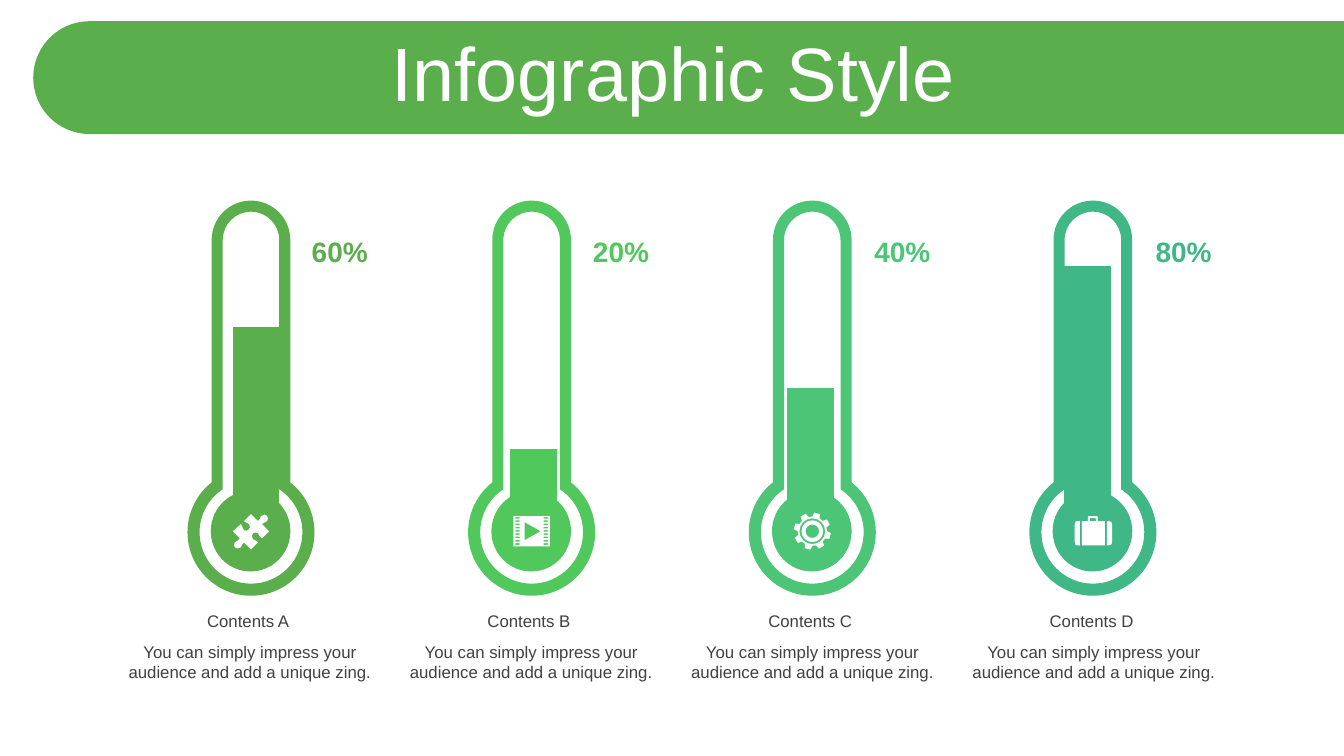
from dataclasses import dataclass
from math import acos, cos, pi, radians, sin, tan

from lxml import etree
from pptx import Presentation
from pptx.chart.data import CategoryChartData
from pptx.dml.color import RGBColor
from pptx.enum.chart import XL_CHART_TYPE
from pptx.enum.shapes import MSO_SHAPE
from pptx.enum.text import MSO_ANCHOR, PP_ALIGN
from pptx.oxml.ns import qn
from pptx.util import Inches, Pt


@dataclass(frozen=True)
class Theme:
    font: str = "Arial"
    white: str = "FFFFFF"
    text: str = "404040"
    accents: tuple = ("5AAE4C", "50C85B", "4CC576", "40B786")
    title_size: int = 54
    percent_size: int = 20
    body_size: int = 12
    chart_size: int = 10


THEME = Theme()
PERCENTS = ("60%", "20%", "40%", "80%")
HEADINGS = ("Contents A ", "Contents B ", "Contents C ", "Contents D ")
CAPTION = "You can simply impress your audience and add a unique zing."
LEVELS = (75, 25, 50, 100)
FIRST_CENTER, LAST_CENTER = 2.49, 10.84
FIRST_LABEL, LABEL_STEP = 1.13, 2.79
CAP_Y, BULB_Y = 2.38, 5.28

# Icon outlines in hundredths of an inch about the icon's middle:
# a pair is a straight step, six numbers are a Bezier curve.
PUZZLE = [[
    (16, -15), (17, -14, 17, -12, 16, -10), (14, -8, 12, -9, 11, -7),
    (18, 0), (11, 7), (8, 6, 9, 4, 7, 2), (5, 1, 3, 1, 2, 2),
    (1, 3, 0, 6, 2, 8), (4, 10, 5, 8, 7, 11), (0, 18), (-7, 11),
    (-10, 13, -8, 14, -10, 16), (-12, 18, -15, 17, -16, 16),
    (-17, 15, -17, 13, -16, 11), (-14, 9, -12, 10, -11, 7), (-18, 0),
    (-10, -7), (-8, -5, -9, -3, -7, -1), (-5, 0, -3, 0, -2, -2),
    (-1, -3, 0, -5, -2, -7), (-4, -9, -5, -8, -7, -10), (0, -17),
    (7, -10), (10, -12, 8, -13, 10, -15), (12, -17, 15, -17, 16, -15),
]]
BRIEFCASE = [
    [(14, -10), (16, -10), (18, -10, 19, -9, 19, -7), (19, 11),
     (19, 13, 18, 14, 16, 14), (14, 14)],
    [(-13, -10), (-13, 14), (-16, 14), (-17, 14, -18, 13, -18, 11),
     (-18, -7), (-18, -9, -17, -10, -16, -10)],
    [(-4, -15), (4, -15), (5, -15, 5, -15, 5, -14), (5, -10), (12, -10),
     (12, 14), (-11, 14), (-11, -10), (-5, -10), (-5, -14),
     (-5, -15, -4, -15, -4, -15)],
    [(-3, -13), (3, -13), (3, -10), (-3, -10)],
]


# Geometry
def rectangle(left, top, right, bottom):
    return [(left, top), (right, top), (right, bottom), (left, bottom)]


def arc(x, y, radius, angles):
    """Start point, then one Bezier curve between each two angles."""
    def spot(angle, pull=0):
        return (x + radius * (cos(angle) - pull * sin(angle)),
                y + radius * (sin(angle) + pull * cos(angle)))

    segments = [spot(angles[0])]
    for start, end in zip(angles, angles[1:]):
        pull = 4 / 3 * tan((end - start) / 4)
        segments.append(spot(start, pull) + spot(end, -pull) + spot(end))
    return segments


def film_icon():
    frame = rectangle(-18, -15, 18, 15)
    play = [(-7, -9), (-7, 9), (9, 0)]
    tops = [-14 + 3.25 * row for row in range(9)]
    holes = [rectangle(left, top, left + 4, top + 1.5)
             for top in tops for left in (-16, 12)]
    return [frame, play] + holes


def gear_icon(teeth=8):
    rim = []
    for tooth in range(teeth):
        middle = -75 + 360 / teeth * tooth
        for offset, radius in ((-15, 14.5), (-9, 18.5), (9, 18.5), (15, 14.5)):
            angle = radians(middle + offset)
            rim.append((radius * cos(angle), radius * sin(angle)))
    quarters = [pi / 2 * i for i in range(5)]
    return [rim] + [arc(0, 0, radius, quarters) for radius in (12.8, 10.8, 6.7)]


def thermometer_outline(x, tube_radius, bulb_radius):
    neck = acos(tube_radius / bulb_radius)
    return (arc(x, CAP_Y, tube_radius, (pi, 1.5 * pi, 2 * pi))
            + arc(x, BULB_Y, bulb_radius, (-neck, 0, pi / 2, pi, pi + neck)))


# Drawing
def paint(shape, color):
    shape.fill.solid()
    shape.fill.fore_color.rgb = RGBColor.from_string(color)
    shape.line.fill.background()
    shape.shadow.inherit = False


def add_outline(slide, contours, color):
    contours = [[[Inches(value) for value in segment] for segment in contour]
                for contour in contours]
    builder = slide.shapes.build_freeform(*contours[0][0])
    for index, contour in enumerate(contours):
        if index:
            builder.move_to(*contour[0])
        builder.add_line_segments([segment[-2:] for segment in contour[1:]], close=True)
    shape = builder.convert_to_shape()
    paint(shape, color)
    # Turn the straight steps that stand for curves into Bezier curves
    outline = shape.element.find(".//" + qn("a:path"))
    steps = [step for step in outline if step.tag != qn("a:close")]
    segments = [segment for contour in contours for segment in contour]
    for step, segment in zip(steps, segments):
        if len(segment) == 6:
            curve = etree.Element(qn("a:cubicBezTo"))
            for x, y in zip(segment[::2], segment[1::2]):
                point = etree.SubElement(curve, qn("a:pt"))
                point.set("x", str(x - shape.left))
                point.set("y", str(y - shape.top))
            outline.replace(step, curve)


def add_icon(slide, x, y, icon):
    contours = [[[(x, y)[i % 2] + value / 100 for i, value in enumerate(segment)]
                 for segment in contour] for contour in icon]
    add_outline(slide, contours, THEME.white)


def add_text(slide, text, left, top, width, height, size, color, bold=False):
    box = slide.shapes.add_textbox(Inches(left), Inches(top), Inches(width), Inches(height))
    box.text_frame.word_wrap = True
    para = box.text_frame.paragraphs[0]
    para.text = text
    para.alignment = PP_ALIGN.CENTER
    font = para.runs[0].font
    font.name, font.size, font.bold = THEME.font, Pt(size), bold
    font.color.rgb = RGBColor.from_string(color)
    return box


def add_banner(slide):
    banner = slide.shapes.add_shape(MSO_SHAPE.ROUND_2_SAME_RECTANGLE, Inches(6.27),
                                    Inches(-5.73), Inches(1.12), Inches(13))
    banner.rotation = 270
    banner.adjustments[0], banner.adjustments[1] = 0.5, 0
    paint(banner, THEME.accents[0])
    title = add_text(slide, "Infographic Style", 0.35, 0.37, 12.66, 0.79,
                     THEME.title_size, THEME.white)
    title.text_frame.vertical_anchor = MSO_ANCHOR.MIDDLE
    title.text_frame.paragraphs[0].line_spacing = 0.9


def add_level_chart(slide):
    data = CategoryChartData()
    data.categories = ["1", "2", "3", "4"]
    data.add_series("Series 1", LEVELS)
    chart = slide.shapes.add_chart(XL_CHART_TYPE.COLUMN_CLUSTERED, Inches(0.94), Inches(2.27),
                                   Inches(11.45), Inches(2.85), data).chart
    chart.has_legend = chart.has_title = False
    chart.font.name, chart.font.size = THEME.font, Pt(THEME.chart_size)
    chart.value_axis.minimum_scale, chart.value_axis.maximum_scale = 0, 100
    chart.value_axis.has_major_gridlines = False
    chart.value_axis.visible = chart.category_axis.visible = False
    plot = chart.plots[0]
    plot.gap_width = 500
    plot.vary_by_categories = False
    for index, color in enumerate(THEME.accents):
        fill = plot.series[0].points[index].format.fill
        fill.solid()
        fill.fore_color.rgb = RGBColor.from_string(color)
    # Fixed plot area, so the columns stand in the tubes
    area = chart.element.find(".//" + qn("c:plotArea"))
    for old in area.findall(qn("c:layout")):
        area.remove(old)
    layout = etree.Element(qn("c:layout"))
    area.insert(0, layout)
    manual = etree.SubElement(layout, qn("c:manualLayout"))
    settings = (("layoutTarget", "inner"), ("xMode", "edge"), ("yMode", "edge"),
                ("x", "0.02"), ("y", "0.13"), ("w", "0.96"), ("h", "0.85"))
    for name, value in settings:
        etree.SubElement(manual, qn("c:" + name)).set("val", value)


def add_thermometer(slide, x, color, icon):
    add_outline(slide, [thermometer_outline(x, 0.39, 0.63),
                        thermometer_outline(x, 0.28, 0.51)], color)
    bulb = slide.shapes.add_shape(MSO_SHAPE.OVAL, Inches(x - 0.4), Inches(4.87),
                                  Inches(0.79), Inches(0.8))
    paint(bulb, color)
    add_icon(slide, x, 5.27, icon)


def main():
    deck = Presentation()
    deck.slide_width, deck.slide_height = Inches(13.33), Inches(7.5)
    slide = deck.slides.add_slide(deck.slide_layouts[6])
    add_banner(slide)
    add_level_chart(slide)
    icons = (PUZZLE, film_icon(), gear_icon(), BRIEFCASE)
    center_step = (LAST_CENTER - FIRST_CENTER) / 3
    for index, color in enumerate(THEME.accents):
        add_thermometer(slide, FIRST_CENTER + center_step * index, color, icons[index])
        left = FIRST_LABEL + LABEL_STEP * index
        add_text(slide, PERCENTS[index], left + 1.76, 2.28, 0.96, 0.44,
                 THEME.percent_size, color, bold=True)
        add_text(slide, HEADINGS[index], left, 6.01, 2.7, 0.3, THEME.body_size, THEME.text)
        add_text(slide, CAPTION, left, 6.32, 2.7, 0.5, THEME.body_size, THEME.text)
    deck.save("out.pptx")


if __name__ == "__main__":
    main()
